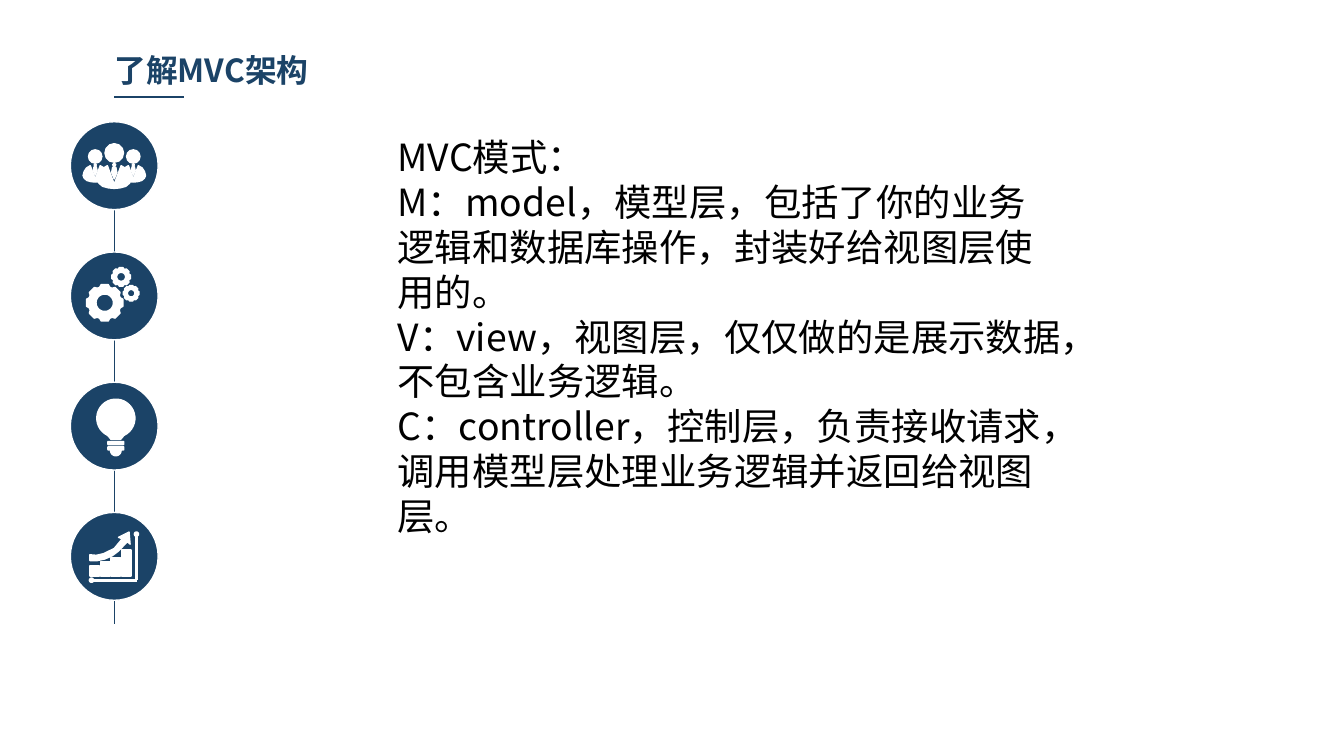
"""Build a slide on the MVC architecture with a column of four round icons."""
from math import cos, radians, sin

from lxml.etree import SubElement
from pptx import Presentation
from pptx.dml.color import RGBColor
from pptx.enum.shapes import MSO_CONNECTOR, MSO_SHAPE
from pptx.enum.text import MSO_ANCHOR, MSO_AUTO_SIZE, PP_ALIGN
from pptx.oxml.ns import qn
from pptx.util import Cm, Pt

NAVY = RGBColor(0x1B, 0x43, 0x67)
WHITE = RGBColor(0xFF, 0xFF, 0xFF)
BLACK = RGBColor(0x00, 0x00, 0x00)

FONT = "Noto Sans CJK SC"
AXIS_X, FIRST_Y, STEP_Y, DIAMETER = 2.16, 3.13, 2.46, 1.66

TITLE = "了解MVC架构"
BODY = [
    "MVC模式：",
    "M：model，模型层，包括了你的业务逻辑和数据库操作，封装好给视图层使用的。",
    "V：view，视图层，仅仅做的是展示数据，不包含业务逻辑。",
    "C：controller，控制层，负责接收请求，调用模型层处理业务逻辑并返回给视图层。",
]

HALF_BODY = [(0, 0.35), (0.13, 0), (0.23, 0.06), (0.29, 0.15), (0.32, 0.26),
             (0.29, 0.33), (0.22, 0.39), (0.11, 0.42), (0, 0.43)]
COLLAR = [(0, -0.05), (0.03, -0.02), (0, 0.03), (-0.03, -0.02)]
TIE = [(-0.03, 0.03), (0.03, 0.03), (0.05, 0.13), (0, 0.25), (-0.05, 0.13)]
RISING_ARROW = [(0.3, -0.23), (0.28, -0.46), (0.08, -0.36), (0.15, -0.33),
                (0, -0.15), (-0.2, -0.05), (-0.34, -0.02), (-0.46, -0.03),
                (-0.46, 0.08), (-0.32, 0.08), (-0.18, 0.05), (-0.04, -0.01),
                (0.08, -0.1), (0.25, -0.28)]


def arc(x, y, radius, start=0, end=360, step=10):
    return [(x + radius * cos(radians(angle)), y + radius * sin(radians(angle)))
            for angle in range(start, end + 1, step)]


def set_values(target, values):
    for name, value in values.items():
        setattr(target, name, value)


class SlideBuilder:
    """Hold the style, the current slide and the current drawing origin."""

    def __init__(self, slide):
        self.slide = slide
        self.shapes = slide.shapes
        self.x = self.y = 0

    def text(self, box, area, lines, frame_format, para_format, font_format, color):
        set_values(box, dict(zip(("left", "top", "width", "height"), map(Cm, area))))
        frame = box.text_frame
        frame.text = "\n".join(lines)
        set_values(frame, {"word_wrap": True, "vertical_anchor": MSO_ANCHOR.TOP,
                           "auto_size": MSO_AUTO_SIZE.SHAPE_TO_FIT_TEXT, **frame_format})
        for para in frame.paragraphs:
            set_values(para, {"alignment": PP_ALIGN.LEFT, "line_spacing": 1.0,
                              "space_before": Pt(0), "space_after": Pt(0)})
            properties = para._p.get_or_add_pPr()
            for name, value in para_format.items():
                properties.set(name, value)
            SubElement(properties, qn("a:buNone"))
            for span in para.runs:
                set_values(span.font, {"name": FONT, **font_format})
                span.font.color.rgb = color
                SubElement(span._r.get_or_add_rPr(), qn("a:ea"), typeface=FONT)

    def start_icon(self, x, y):
        self.shapes = self.slide.shapes.add_group_shape().shapes
        self.x, self.y = x, y
        self.preset(MSO_SHAPE.OVAL, 0, 0, DIAMETER, DIAMETER, NAVY)

    def paint(self, shape, fill):
        shape.shadow.inherit = False
        shape.fill.solid()
        shape.fill.fore_color.rgb = fill
        shape.line.color.rgb = WHITE
        shape.line.width = Pt(0.75)

    def preset(self, kind, x, y, width, height, fill=WHITE):
        left, top = self.x + x - width / 2, self.y + y - height / 2
        self.paint(self.shapes.add_shape(kind, Cm(left), Cm(top), Cm(width), Cm(height)), fill)

    def outline(self, *contours):
        builder = None
        for contour in contours:
            points = [(Cm(self.x + x), Cm(self.y + y)) for x, y in contour]
            if builder is None:
                builder = self.shapes.build_freeform(*points[0])
            else:
                builder.move_to(*points[0])
            builder.add_line_segments(points[1:], close=True)
        self.paint(builder.convert_to_shape(), WHITE)

    def line(self, x1, y1, x2, y2, color=NAVY, width=0.75):
        connector = self.shapes.add_connector(
            MSO_CONNECTOR.STRAIGHT, Cm(self.x + x1), Cm(self.y + y1),
            Cm(self.x + x2), Cm(self.y + y2))
        connector.line.color.rgb = color
        connector.line.width = Pt(width)
        SubElement(connector._element.spPr, qn("a:effectLst"))

    def person(self, x, scale):
        body = HALF_BODY + [(-px, py) for px, py in reversed(HALF_BODY[1:-1])]
        self.preset(MSO_SHAPE.OVAL, x, -0.24 * scale, 0.35 * scale, 0.35 * scale)
        for part in (body, COLLAR, TIE):
            self.outline([(x + px * scale, py * scale) for px, py in part])

    def gear(self, x, y, radius):
        rim = []
        for tooth in range(0, 360, 45):
            for offset, ratio in ((-18, 0.88), (-11, 1), (11, 1), (18, 0.88)):
                rim += arc(x, y, radius * ratio, tooth + offset, tooth + offset)
        self.outline(rim, arc(x, y, radius * 0.47)[::-1])

    def people_icon(self):
        for x, scale in ((-0.36, 0.72), (0.36, 0.72), (0, 1)):
            self.person(x, scale)

    def gears_icon(self):
        for x, y, radius in ((-0.18, 0.13, 0.35), (0.13, -0.36, 0.18), (0.32, -0.05, 0.15)):
            self.gear(x, y, radius)

    def bulb_icon(self):
        x = 0.03
        neck = [(x + 0.15, 0.18), (x + 0.09, 0.25), (x - 0.09, 0.25), (x - 0.15, 0.18)]
        self.outline(arc(x, -0.15, 0.36, 115, 425) + neck)
        for y in (0.32, 0.42):
            self.preset(MSO_SHAPE.ROUNDED_RECTANGLE, x, y, 0.3, 0.06)
        self.outline(arc(x, 0.46, 0.1, 0, 180))

    def growth_icon(self):
        self.outline(RISING_ARROW)
        for index, height in enumerate((0.19, 0.26, 0.35, 0.49)):
            self.preset(MSO_SHAPE.RECTANGLE, -0.37 + 0.2 * index, 0.37 - height / 2, 0.18, height)
        corner_x, corner_y = 0.42, 0.45
        for x, y in ((corner_x, -0.42), (-0.43, corner_y)):
            self.line(x, y, corner_x, corner_y, WHITE, 1.5)
            self.preset(MSO_SHAPE.OVAL, x, y, 0.08, 0.08)


def main():
    deck = Presentation()
    deck.slide_width, deck.slide_height = Cm(25.4), Cm(14.28)
    page = deck.slides.add_slide(deck.slide_layouts[1])
    builder = SlideBuilder(page)

    title_frame = {"margin_left": Cm(0.18), "margin_right": Cm(0.18),
                   "margin_top": Cm(0.1), "margin_bottom": Cm(0.1)}
    no_indent = {"marL": "0", "indent": "0"}
    builder.text(page.shapes.title, (1.98, 0.86, 6.27, 0.91), [TITLE], title_frame,
                 no_indent, {"size": Pt(17), "bold": True}, NAVY)
    builder.text(page.placeholders[1], (7.26, 2.41, 13.06, 7.95), BODY, {},
                 no_indent, {"size": Pt(20)}, BLACK)

    builder.line(2.16, 1.83, 3.48, 1.83)
    builder.line(AXIS_X, 2.49, AXIS_X, 11.79)
    icons = (builder.people_icon, builder.gears_icon, builder.bulb_icon, builder.growth_icon)
    for index, draw_icon in enumerate(icons):
        builder.start_icon(AXIS_X, FIRST_Y + STEP_Y * index)
        draw_icon()
    deck.save("out.pptx")


if __name__ == "__main__":
    main()
